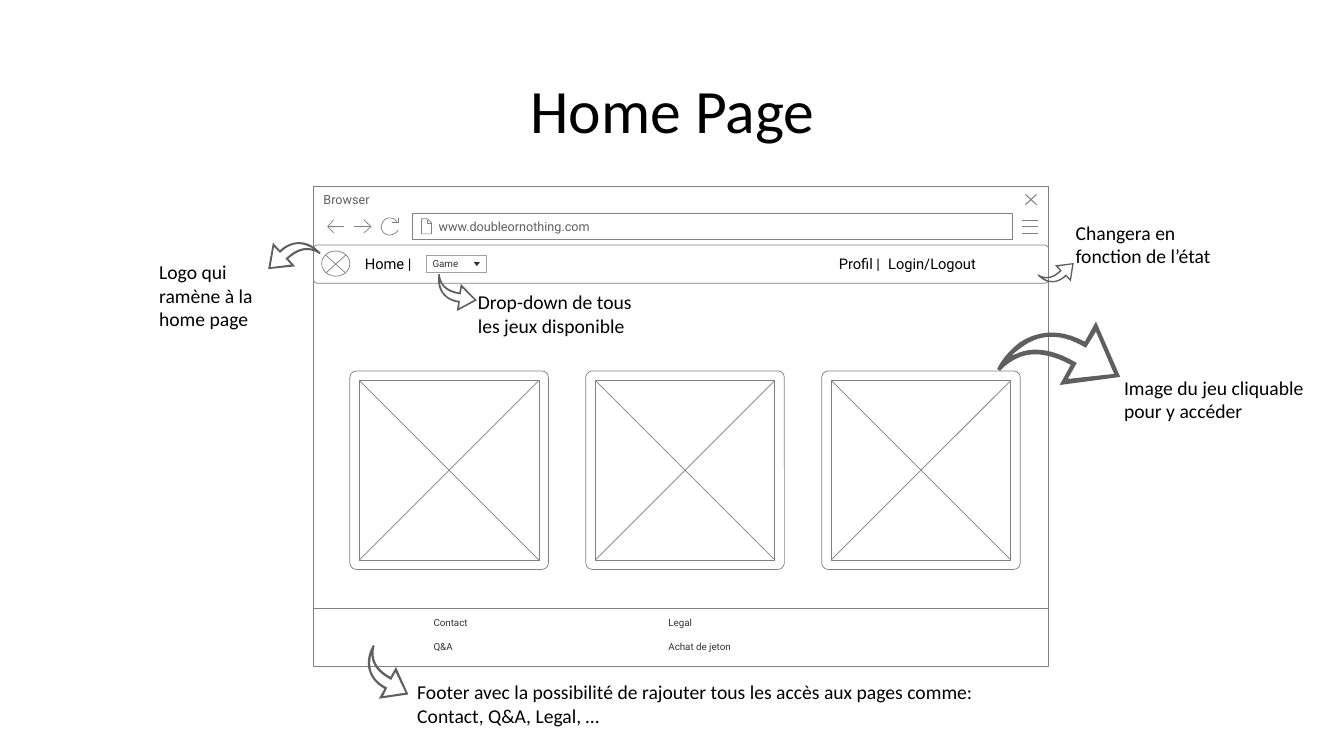
from dataclasses import dataclass

from pptx import Presentation
from pptx.dml.color import RGBColor
from pptx.enum.shapes import MSO_CONNECTOR, MSO_SHAPE
from pptx.enum.text import MSO_ANCHOR, PP_ALIGN
from pptx.oxml.ns import qn
from pptx.util import Inches, Pt

STRAIGHT = MSO_CONNECTOR.STRAIGHT
RECTANGLE = MSO_SHAPE.RECTANGLE
ROUNDED = MSO_SHAPE.ROUNDED_RECTANGLE
OVAL = MSO_SHAPE.OVAL
TRIANGLE_DOWN = MSO_SHAPE.FLOWCHART_MERGE
TOP, MIDDLE = MSO_ANCHOR.TOP, MSO_ANCHOR.MIDDLE
LEFT, CENTER = PP_ALIGN.LEFT, PP_ALIGN.CENTER

WHITE = RGBColor(0xFF, 0xFF, 0xFF)
BLACK = RGBColor(0, 0, 0)
STROKE = RGBColor(0x80, 0x80, 0x80)
PALE_STROKE = RGBColor(0xA0, 0xA0, 0xA0)
GREY = RGBColor(0x5F, 0x5F, 0x5F)
DARK = RGBColor(0x33, 0x33, 0x33)
MARKER = RGBColor(0x30, 0x30, 0x30)

Point = tuple[float, float]
Box = tuple[float, float, float, float]


@dataclass
class Label:
    text: str
    box: Box
    size: float
    font: str = "Calibri"
    color: RGBColor = BLACK
    insets: Box = (0.1, 0.05, 0.1, 0.05)
    anchor: MSO_ANCHOR = TOP
    wrap: bool = True


@dataclass
class Callout:
    tail: complex
    tip: complex
    mirrored: bool = True


def write(shape, label: Label) -> None:
    frame = shape.text_frame
    frame.text = label.text
    frame.word_wrap = label.wrap
    frame.vertical_anchor = label.anchor
    (frame.margin_left, frame.margin_top,
     frame.margin_right, frame.margin_bottom) = map(Inches, label.insets)
    for paragraph in frame.paragraphs:
        paragraph.alignment = LEFT
        paragraph.font.size = Pt(label.size)
        paragraph.font.name = label.font
        paragraph.font.color.rgb = label.color


def add_label(shapes, label: Label) -> None:
    write(shapes.add_textbox(*map(Inches, label.box)), label)


def add_panel(shapes, kind: MSO_SHAPE, box: Box, fill: RGBColor | None = WHITE,
              stroke: RGBColor | None = STROKE):
    panel = shapes.add_shape(kind, *map(Inches, box))
    panel.shadow.inherit = False
    if fill is None:
        panel.fill.background()
    else:
        panel.fill.solid()
        panel.fill.fore_color.rgb = fill
    if stroke is None:
        panel.line.fill.background()
    else:
        panel.line.color.rgb = stroke
        panel.line.width = Pt(0.5)
    return panel


def add_rule(shapes, start: Point, end: Point) -> None:
    rule = shapes.add_connector(STRAIGHT, *map(Inches, (*start, *end)))
    rule.line.color.rgb = STROKE
    rule.line.width = Pt(0.5)
    properties = rule._element.spPr
    properties.append(properties.makeelement(qn("a:effectLst"), {}))


def add_cross(shapes, left: float, top: float, right: float, bottom: float) -> None:
    add_rule(shapes, (left, top), (right, bottom))
    add_rule(shapes, (left, bottom), (right, top))


def flatten(steps: list[tuple[Point, ...]], count: int = 12) -> list[Point]:
    """One point is a corner, three points are a Bezier curve."""
    points = [steps[0][0]]
    for step in steps[1:]:
        if len(step) == 1:
            points.append(step[0])
            continue
        controls = (points[-1], *step)
        for t in (i / count for i in range(1, count + 1)):
            weights = ((1 - t) ** 3, 3 * t * (1 - t) ** 2, 3 * t * t * (1 - t), t ** 3)
            points.append(tuple(sum(w * c[axis] for w, c in zip(weights, controls))
                                for axis in (0, 1)))
    return points


def add_outline(shapes, contours: list[list[Point]], closed: bool = False,
                width: float = 0.5) -> None:
    scaled = [[(Inches(x), Inches(y)) for x, y in contour] for contour in contours]
    builder = shapes.build_freeform(*scaled[0][0])
    for index, contour in enumerate(scaled):
        if index:
            builder.move_to(*contour[0])
        builder.add_line_segments(contour[1:], close=closed)
    outline = builder.convert_to_shape()
    outline.shadow.inherit = False
    if closed:
        outline.fill.solid()
        outline.fill.fore_color.rgb = GREY
        outline.line.fill.background()
    else:
        outline.fill.background()
        outline.line.color.rgb = STROKE
        outline.line.width = Pt(width)


# Curved arrow: outer edge and hollow inside, fitted between a tail and a tip
ARROW_TAIL, ARROW_TIP = complex(9.89, 3.66), complex(11.11, 3.74)
ARROW = [flatten(steps) for steps in (
    [((9.89, 3.66),), ((9.92, 3.68),), ((9.92, 3.68), (9.98, 3.6), (10.1, 3.55)),
     ((10.21, 3.5), (10.38, 3.49), (10.62, 3.62)), ((10.51, 3.82),), ((11.11, 3.74),),
     ((10.87, 3.19),), ((10.76, 3.39),), ((10.48, 3.24), (10.26, 3.3), (10.11, 3.4)),
     ((10.02, 3.47), (9.94, 3.56), (9.89, 3.66))],
    [((10.03, 3.53),), ((10.06, 3.5), (10.1, 3.47), (10.14, 3.44)),
     ((10.28, 3.34), (10.48, 3.28), (10.75, 3.44)), ((10.77, 3.45),), ((10.87, 3.29),),
     ((11.05, 3.71),), ((10.59, 3.76),), ((10.68, 3.6),), ((10.66, 3.59),),
     ((10.4, 3.44), (10.21, 3.45), (10.08, 3.51)),
     ((10.06, 3.52), (10.05, 3.52), (10.03, 3.53))],
)]


def add_callout(shapes, callout: Callout) -> None:
    def place(point: Point) -> Point:
        along = (complex(*point) - ARROW_TAIL) / (ARROW_TIP - ARROW_TAIL)
        if callout.mirrored:
            along = along.conjugate()
        placed = callout.tail + (callout.tip - callout.tail) * along
        return placed.real, placed.imag

    add_outline(shapes, [[place(p) for p in contour] for contour in ARROW], closed=True)


def add_game_card(shapes, left: float, top: float = 3.68) -> None:
    card = add_panel(shapes, ROUNDED, (left, top, 1.97, 1.97), fill=None)
    card.adjustments[0] = 0.033
    inner_left, inner_top, side = left + 0.095, top + 0.095, 1.78
    add_panel(shapes, RECTANGLE, (inner_left, inner_top, side, side))
    add_cross(shapes, inner_left, inner_top, inner_left + side, inner_top + side)


PAGE_LEFT, PAGE_RIGHT = 3.11, 10.4
PAGE_WIDTH = PAGE_RIGHT - PAGE_LEFT

BROWSER_ICONS = [
    [[(10.14, y), (10.3, y)] for y in (2.19, 2.25, 2.31)],
    [[(4.24, 2.18), (4.24, 2.22), (4.28, 2.22)],
     [(4.18, 2.17), (4.18, 2.32), (4.28, 2.32), (4.28, 2.21), (4.24, 2.17), (4.18, 2.17)]],
    [[(3.31, 2.31), (3.25, 2.25), (3.31, 2.18)], [(3.25, 2.25), (3.41, 2.25)]],
    [[(3.61, 2.18), (3.68, 2.25), (3.61, 2.31)], [(3.67, 2.25), (3.51, 2.25)]],
    [[(3.95, 2.16), (3.95, 2.21), (3.89, 2.21)],
     flatten([((3.95, 2.28),), ((3.93, 2.32), (3.88, 2.34), (3.84, 2.33)),
              ((3.79, 2.31), (3.77, 2.26), (3.79, 2.22)),
              ((3.81, 2.17), (3.85, 2.15), (3.9, 2.17)),
              ((3.91, 2.17), (3.93, 2.19), (3.94, 2.21))])],
]
CLOSE_ICON = [[(10.28, 1.93), (10.17, 2.03)], [(10.17, 1.93), (10.28, 2.03)]]

NAV_ITEMS = [("Home |", 3.62), ("Profil |", 8.32), ("Login/Logout", 8.81)]
FOOTER_COLUMNS = {4.3: ("Contact", "Q&A"), 6.63: ("Legal", "Achat de jeton")}

CALLOUTS = [
    Callout(9.89 + 3.66j, 11.11 + 3.74j, mirrored=False),
    Callout(3.18 + 2.51j, 2.66 + 2.67j),
    Callout(4.35 + 2.72j, 4.73 + 2.98j),
    Callout(10.29 + 2.73j, 10.65 + 2.61j),
    Callout(3.7 + 6.4j, 4.05 + 6.89j),
]
NOTES = [
    Label("Image du jeu cliquable pour y accéder", (11.05, 3.68, 1.99, 0.57), 14),
    Label("Logo qui ramène à la home page", (1.48, 2.53, 1.36, 0.81), 14),
    Label("Drop-down de tous les jeux disponible", (4.64, 2.83, 1.92, 0.57), 14),
    Label("Changera en fonction de l’état", (10.57, 2.14, 1.7, 0.57), 14),
    Label("Footer avec la possibilité de rajouter tous les accès aux pages comme:\n"
          "Contact, Q&A, Legal, …", (4.04, 6.7, 5.76, 0.57), 14, wrap=False),
]


def main() -> None:
    deck = Presentation()
    deck.slide_width, deck.slide_height = Inches(13.33), Inches(7.5)
    slide = deck.slides.add_slide(deck.slide_layouts[5])
    shapes = slide.shapes

    # Title
    title = shapes.title
    title.left, title.top, title.width, title.height = map(Inches, (0.92, 0.4, 11.5, 1.45))
    write(title, Label("Home Page", (0.92, 0.4, 11.5, 1.45), 44, anchor=MIDDLE))
    heading = title.text_frame.paragraphs[0]
    heading.alignment, heading.line_spacing = CENTER, 0.9

    # Browser window
    add_panel(shapes, RECTANGLE, (PAGE_LEFT, 2.43, PAGE_WIDTH, 4.18))
    bar_box = (PAGE_LEFT, 1.85, PAGE_WIDTH, 0.59)
    write(add_panel(shapes, RECTANGLE, bar_box),
          Label("Browser", bar_box, 9, "Roboto", GREY))
    address_box = (4.09, 2.12, 5.95, 0.26)
    write(add_panel(shapes, RECTANGLE, address_box),
          Label("www.doubleornothing.com", address_box, 9, "Roboto", GREY,
                (0.26, 0.05, 0.1, 0.05), MIDDLE))
    for icon in BROWSER_ICONS:
        add_outline(shapes, icon)
    add_outline(shapes, CLOSE_ICON, width=0.75)

    # Navigation bar
    nav = add_panel(shapes, ROUNDED, (PAGE_LEFT, 2.43, PAGE_WIDTH, 0.38))
    nav.adjustments[0] = 0.1
    for text, left in NAV_ITEMS:
        add_label(shapes, Label(text, (left, 2.43, 1.2, 0.38), 10.5, "Roboto",
                                insets=(0, 0, 0, 0), anchor=MIDDLE))
    add_panel(shapes, OVAL, (3.19, 2.49, 0.28, 0.25))
    add_cross(shapes, 3.23, 2.53, 3.43, 2.71)
    game_box = (4.23, 2.53, 0.59, 0.17)
    write(add_panel(shapes, RECTANGLE, game_box, stroke=PALE_STROKE),
          Label("Game", game_box, 7, "Roboto", DARK, (0.06, 0, 0.14, 0), MIDDLE))
    add_panel(shapes, TRIANGLE_DOWN, (4.7, 2.6, 0.06, 0.04), MARKER, None)

    # Game cards
    for column in range(3):
        add_game_card(shapes, 3.47 + 2.34 * column)

    # Footer
    add_rule(shapes, (PAGE_LEFT, 6.04), (PAGE_RIGHT, 6.04))
    for left, links in FOOTER_COLUMNS.items():
        for row, link in enumerate(links):
            add_label(shapes, Label(link, (left, 6.12 + 0.24 * row, 0.8, 0.12), 7,
                                    "Roboto", DARK, (0, 0, 0, 0)))

    # Notes and their arrows
    for callout in CALLOUTS:
        add_callout(shapes, callout)
    for note in NOTES:
        add_label(shapes, note)

    deck.save("out.pptx")


if __name__ == "__main__":
    main()
